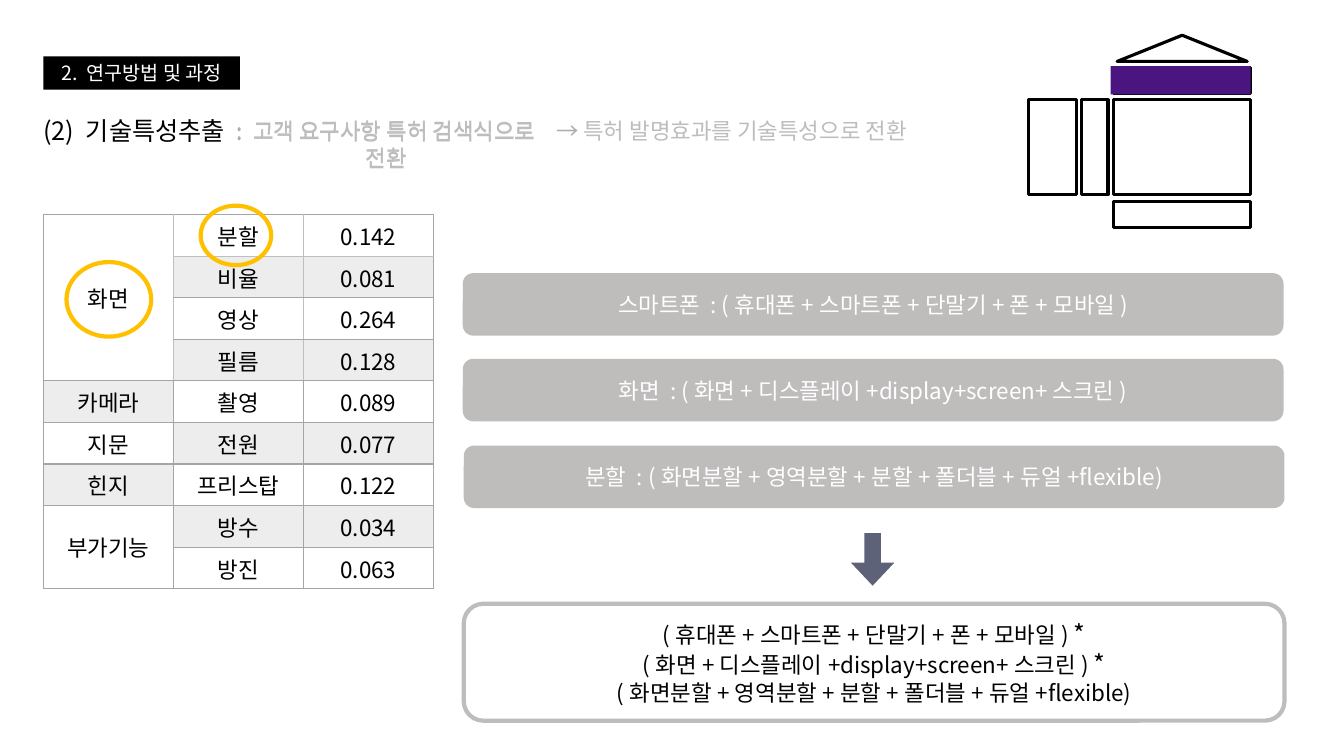
"""Build the slide on extracting technical features from patent searches."""
from lxml import etree
from pptx import Presentation
from pptx import util as u
from pptx.dml.color import RGBColor
from pptx.enum import shapes, text
from pptx.oxml import ns

SHAPE = shapes.MSO_SHAPE
ALIGN = text.PP_ALIGN
MIDDLE = text.MSO_ANCHOR.MIDDLE
FONT = "Noto Sans CJK KR"
COLORS = {"black": "000000", "white": "FFFFFF", "gray": "BFBCBC",
          "mark": "AFABAB", "purple": "4B1581", "gold": "FFC000",
          "slate": "5D6278", "band": "EDEDED", "edge": "A5A5A5",
          "inner": "BFBFBF"}


def px(n):
    """Turn hundredths of an inch into EMU."""
    return u.Emu(n * 9144)


def rgb(name):
    """Look up a named colour."""
    return RGBColor.from_string(COLORS[name])


class Deck:
    """Hold the style and the current slide."""

    def __init__(self, width, height):
        self.prs = Presentation()
        self.prs.slide_width, self.prs.slide_height = px(width), px(height)
        self.s = self.prs.slides.add_slide(self.prs.slide_layouts[6])

    def fill_text(self, tf, paragraphs, align=ALIGN.CENTER):
        """Fill a frame with paragraphs of (text, size, colour) runs."""
        for i, runs in enumerate(paragraphs):
            p = tf.paragraphs[0] if i == 0 else tf.add_paragraph()
            p.alignment = align
            for words, size, color in runs:
                r = p.add_run()
                r.text = words
                for key, value in {"name": FONT, "size": u.Pt(size)}.items():
                    setattr(r.font, key, value)
                r.font.color.rgb = rgb(color)
                rpr = r._r.get_or_add_rPr()
                etree.SubElement(rpr, ns.qn("a:ea")).set("typeface", FONT)

    def label(self, box, runs, align=ALIGN.CENTER):
        """Add a wrapping one-paragraph text box."""
        tf = self.s.shapes.add_textbox(*map(px, box)).text_frame
        tf.word_wrap = True
        tf.auto_size = text.MSO_AUTO_SIZE.SHAPE_TO_FIT_TEXT
        self.fill_text(tf, [runs], align)

    def shape(self, kind, box, fill=None, line=None, weight=3, paragraphs=(),
              parent=None):
        """Add a preset shape to the slide or to a group."""
        sp = (parent or self.s).shapes.add_shape(kind, *map(px, box))
        sp.shadow.inherit = False
        if fill:
            sp.fill.solid()
            sp.fill.fore_color.rgb = rgb(fill)
        else:
            sp.fill.background()
        if line:
            sp.line.color.rgb = rgb(line)
            sp.line.width = u.Pt(weight)
        else:
            sp.line.fill.background()
        sp.text_frame.vertical_anchor = MIDDLE
        self.fill_text(sp.text_frame, paragraphs)
        return sp

    def border(self, cell, sides):
        """Draw the four cell edges in the given colours."""
        tcpr = cell._tc.get_or_add_tcPr()
        for i, (side, color) in enumerate(sides.items()):
            ln = etree.Element(ns.qn("a:ln" + side), w=str(u.Pt(1)))
            fill = etree.SubElement(ln, ns.qn("a:solidFill"))
            etree.SubElement(fill, ns.qn("a:srgbClr"), val=COLORS[color])
            tcpr.insert(i, ln)

    def table(self, box, rows, spans):
        """Add the weight table with a merged first column."""
        frame = self.s.shapes.add_table(len(rows), 3, *map(px, box))
        tbl = frame.table
        for first, last in spans:
            tbl.cell(first, 0).merge(tbl.cell(last, 0))
        for i, row in enumerate(rows):
            for j, words in enumerate(row):
                cell = tbl.cell(i, j)
                shaded = i % 2 if j else i in (4, 6)
                cell.fill.solid()
                cell.fill.fore_color.rgb = rgb("band" if shaded else "white")
                cell.vertical_anchor = MIDDLE
                inner = "inner" if i < 4 else "edge"
                self.border(cell, {
                    "L": inner if j else "edge",
                    "R": inner if j < 2 else "edge",
                    "T": "inner" if i == 1 else "edge",
                    "B": "inner" if i == 0 else "edge"})
                if words:
                    self.fill_text(cell.text_frame, [[(words, 16, "black")]])


def main():
    """Place every element and save the file."""
    deck = Deck(1333, 750)
    deck.label((33, 109, 210, 40), [("(2) 기술특성추출", 18, "black")],
               ALIGN.LEFT)
    deck.shape(SHAPE.RECTANGLE, (43, 56, 195, 33), "black",
               paragraphs=[[("2. 연구방법 및 과정", 14, "white")]])

    house = deck.s.shapes.add_group_shape()
    for box in ((1104, 99, 136, 94), (1104, 200, 136, 26),
                (1104, 67, 136, 26), (1073, 99, 26, 94), (1020, 99, 48, 94)):
        deck.shape(SHAPE.RECTANGLE, box, line="black", weight=2.25,
                   parent=house)
    deck.shape(SHAPE.ISOSCELES_TRIANGLE, (1108, 35, 129, 26), line="black",
               weight=2.25, parent=house)
    deck.shape(SHAPE.RECTANGLE, (1157, 10, 28, 139), "purple").rotation = 270

    query = ": ", "고객 요구사항 특허 검색식으로 전환"
    effect = "→ ", "특허 발명효과를 기술특성으로 전환"
    for box, (sign, words) in (((203, 111, 360, 37), query),
                               ((203, 112, 360, 37), query),
                               ((532, 111, 387, 37), effect)):
        deck.label(box, [(sign, 16, "mark"), (words, 16, "gray")])

    deck.table((43, 213, 387, 371), [
        ("화면", "분할", "0.142"), ("", "비율", "0.081"),
        ("", "영상", "0.264"), ("", "필름", "0.128"),
        ("카메라", "촬영", "0.089"), ("지문", "전원", "0.077"),
        ("힌지", "프리스탑", "0.122"), ("부가기능", "방수", "0.034"),
        ("", "방진", "0.063")], [(0, 3), (7, 8)])
    for box in ((66, 260, 84, 74), (199, 204, 70, 59)):
        deck.shape(SHAPE.OVAL, box, line="gold")

    terms = {"스마트폰": "(휴대폰+스마트폰+단말기+폰+모바일)",
             "화면": "(화면+디스플레이+display+screen+스크린)",
             "분할": "(화면분할+영역분할+분할+폴더블+듀얼+flexible)"}
    corners = (459, 271), (459, 356), (460, 442)
    for corner, (name, words) in zip(corners, terms.items()):
        deck.shape(SHAPE.ROUNDED_RECTANGLE, (*corner, 814, 62), "gray",
                   paragraphs=[[(f"{name} : {words}", 16, "white")]])

    arrow = deck.shape(SHAPE.DOWN_ARROW, (844, 529, 43, 52), "slate")
    arrow.adjustments[0], arrow.adjustments[1] = 0.38, 0.53

    *joined, last = terms.values()
    formula = [[(words + " ", 16, "black"), ("*", 18, "black")]
               for words in joined]
    deck.shape(SHAPE.ROUNDED_RECTANGLE, (460, 599, 814, 116), line="gray",
               paragraphs=[*formula, [(last, 16, "black")]])
    deck.prs.save("out.pptx")


if __name__ == "__main__":
    main()
